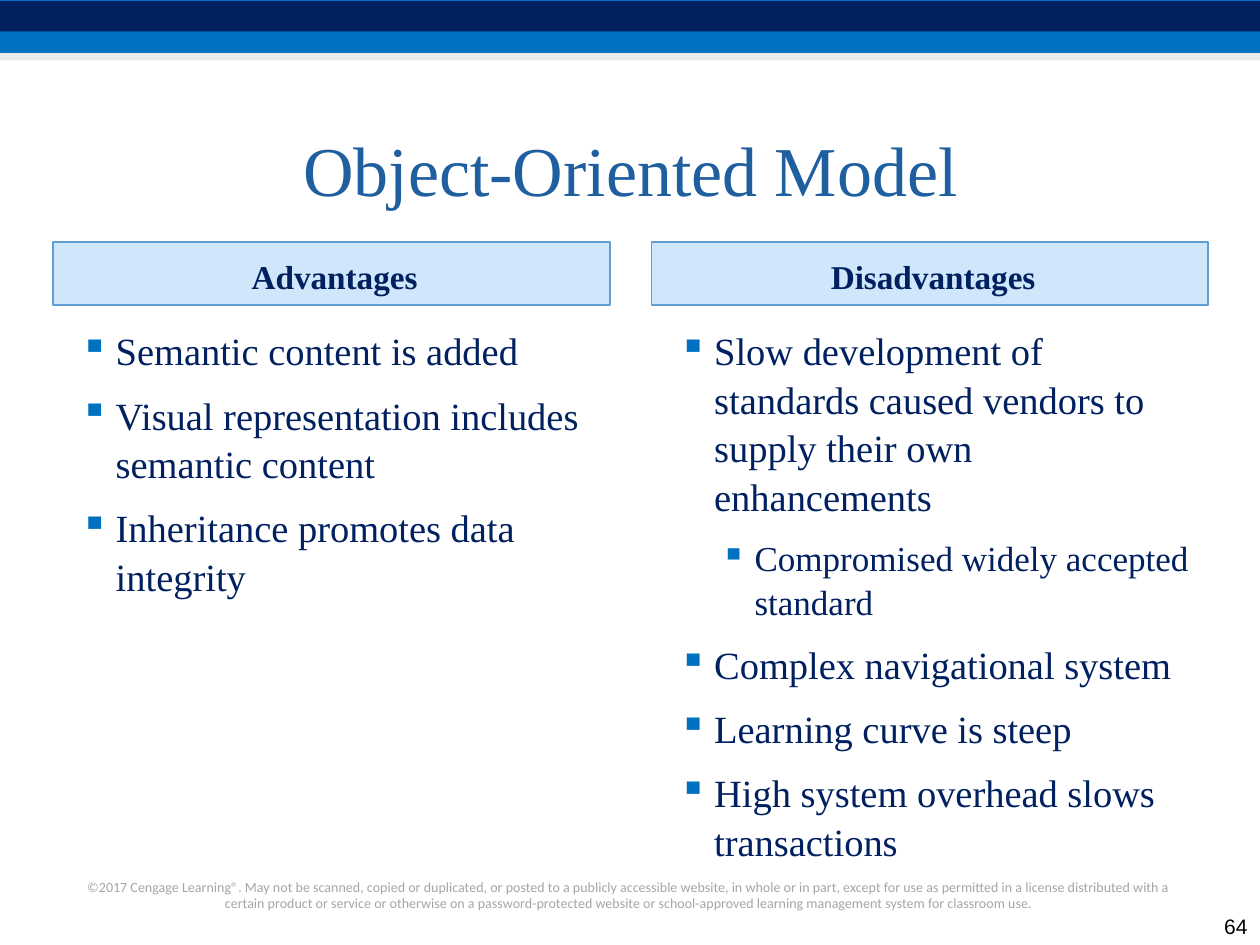
"""Build a slide on the pros and cons of the object-oriented model."""
from lxml.etree import SubElement as Sub
from pptx import Presentation
from pptx.dml.color import RGBColor as RGB
from pptx.enum.shapes import MSO_SHAPE as Shape
from pptx.enum.text import MSO_ANCHOR as Anchor, MSO_AUTO_SIZE as Fit, PP_ALIGN as Align
from pptx.oxml.ns import qn
from pptx.util import Inches, Pt

NAVY = RGB(0x00, 0x20, 0x60)
BLUE = RGB(0x00, 0x70, 0xC0)
MIST = RGB(0xD8, 0xD3, 0xD9)
SKY = RGB(0x46, 0x9F, 0xED)
EDGE = RGB(0x62, 0x9D, 0xD1)
STEEL = RGB(0x1F, 0x5F, 0xA0)
GRAY = RGB(0xA6, 0xA6, 0xA6)
BLACK = RGB(0, 0, 0)
SERIF = "Times New Roman"


def style(para, size, name, color, align=None):
    """Set the look of every run in a paragraph."""
    para.alignment = align
    for run in para.runs:
        run.font.size = Pt(size)
        run.font.name = name
        run.font.color.rgb = color


def block(x, y, w, h, color, alpha=100):
    """Add a plain filled rectangle."""
    rect = slide.shapes.add_shape(
        Shape.RECTANGLE, Inches(x), Inches(y), Inches(w), Inches(h))
    rect.shadow.inherit = False
    rect.line.fill.background()
    rect.fill.solid()
    rect.fill.fore_color.rgb = color
    if alpha < 100:
        tint = rect.fill._xPr.find(qn("a:solidFill"))[0]
        Sub(tint, qn("a:alpha"), val=str(alpha * 1000))
    return rect


prs = Presentation()
prs.slide_width, prs.slide_height = Inches(10), Inches(7.5)
slide = prs.slides.add_slide(prs.slide_layouts[5])

block(0, 0, 10, 0.42, BLUE)
block(0, 0.01, 10, 0.24, NAVY)
block(0, 0.42, 10, 0.06, MIST, 50)

title = slide.shapes.title
title.left, title.top = Inches(0.42), Inches(0.75)
title.width, title.height = Inches(9.17), Inches(1.17)
frame = title.text_frame
frame.text = "Object-Oriented Model"
frame.auto_size = Fit.NONE
frame.vertical_anchor = Anchor.MIDDLE
style(frame.paragraphs[0], 40, SERIF, STEEL, Align.CENTER)

columns = [
    (0.42, "Advantages", [
        (0, "Semantic content is added"),
        (0, "Visual representation includes semantic content"),
        (0, "Inheritance promotes data integrity"),
    ]),
    (5.17, "Disadvantages", [
        (0, "Slow development of standards caused vendors to supply their own enhancements"),
        (1, "Compromised widely accepted standard"),
        (0, "Complex navigational system"),
        (0, "Learning curve is steep"),
        (0, "High system overhead slows transactions"),
    ]),
]
levels = [(22, 0.4, -0.28), (20, 0.72, -0.27)]

for x, name, items in columns:
    head = block(x, 1.92, 4.42, 0.5, SKY, 25)
    head.line.color.rgb = EDGE
    head.line.width = Pt(1)
    frame = head.text_frame
    frame.text = name
    frame.vertical_anchor = Anchor.MIDDLE
    frame.margin_left = Inches(0.15)
    frame.margin_top = Inches(0.09)
    para = frame.paragraphs[0]
    style(para, 19, SERIF, NAVY, Align.CENTER)
    para.runs[0].font.bold = True

    body = slide.shapes.add_textbox(Inches(x), Inches(2.5), Inches(4.42), Inches(4.25))
    frame = body.text_frame
    frame.word_wrap = True
    frame.margin_top = Inches(0.08)
    frame.text = "\n".join(text for level, text in items)
    for i, (para, (level, text)) in enumerate(zip(frame.paragraphs, items)):
        size, left, hang = levels[level]
        para.level = level
        para.line_spacing = 1.05
        para.space_before = Pt(3 if i else 0)
        para.space_after = Pt(6)
        props = para._p.get_or_add_pPr()
        props.set("marL", str(Inches(left)))
        props.set("indent", str(Inches(hang)))
        tint = Sub(props, qn("a:buClr"))
        Sub(tint, qn("a:srgbClr"), val=str(BLUE))
        Sub(props, qn("a:buChar"), char="▪")
        style(para, size, SERIF, NAVY)

rights = (
    "©2017 Cengage Learning®. May not be scanned, copied or duplicated, or posted to a "
    "publicly accessible website, in whole or in part, except for use as permitted in a "
    "license distributed with a certain product or service or otherwise on a "
    "password-protected website or school-approved learning management system for "
    "classroom use."
)
notes = [
    (0.58, 6.92, 8.83, 0.37, rights, 8, "Calibri", GRAY, Align.CENTER, Anchor.TOP),
    (9.5, 7.17, 0.5, 0.33, "64", 12, "Arial", BLACK, Align.RIGHT, Anchor.BOTTOM),
]
for x, y, w, h, text, size, font, color, align, anchor in notes:
    box = slide.shapes.add_textbox(Inches(x), Inches(y), Inches(w), Inches(h))
    frame = box.text_frame
    frame.word_wrap = True
    frame.vertical_anchor = anchor
    frame.text = text
    style(frame.paragraphs[0], size, font, color, align)

prs.save("out.pptx")
